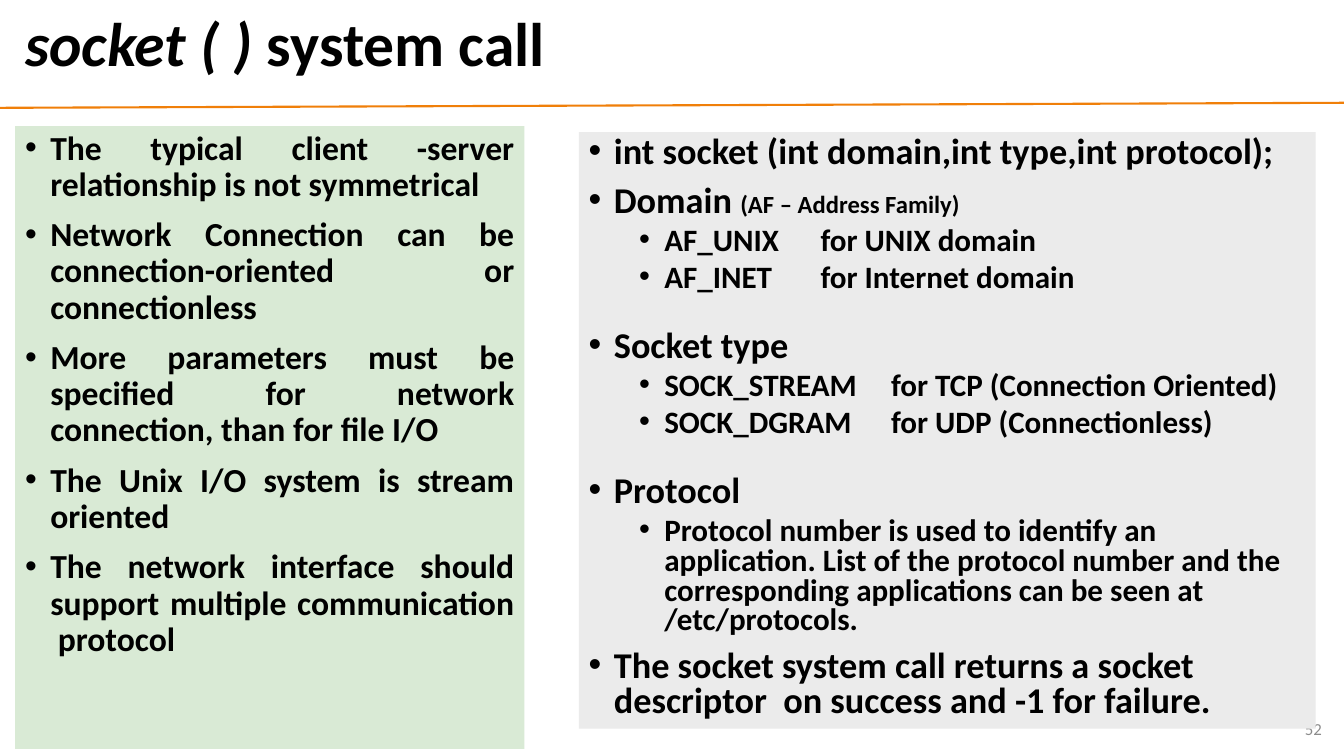
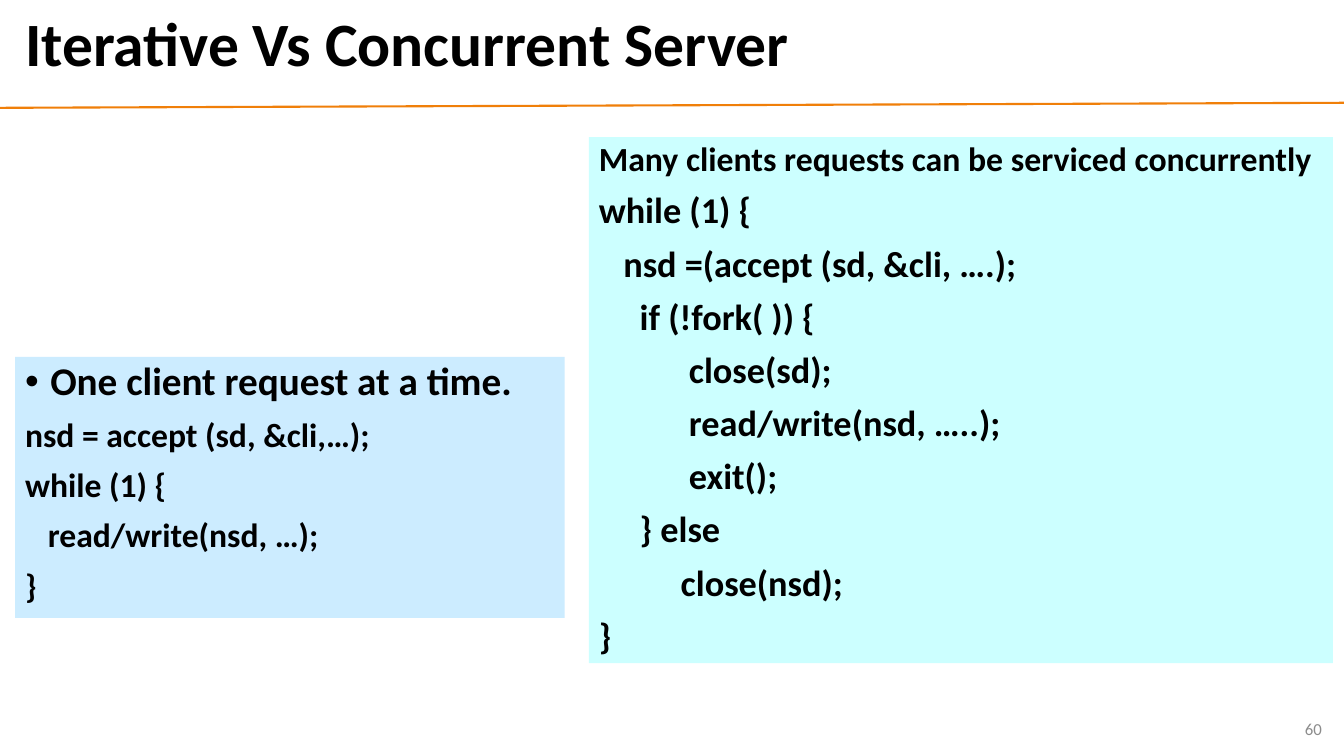
import pptx
import pptx.util
import pptx.dml.color
import pptx.enum.shapes
import pptx.enum.text
import lxml.etree
import pptx.oxml.ns

Inches, Pt = pptx.util.Inches, pptx.util.Pt
ALIGN = pptx.enum.text.PP_ALIGN
ANCHOR = pptx.enum.text.MSO_ANCHOR
qn = pptx.oxml.ns.qn

FONT = "Calibri"
COLORS = {
    "text": "000000", "number": "8C8C8C", "rule": "F07F09",
    "green": "D9EAD5", "grey": "EBEBEB", "blue": "CCECFF", "cyan": "CCFFFF",
}
SPACE_EM = 0.226  # width of a space in the bold font

# Paragraph formats
POINT = dict(size=24, bullet=True, left=0.25, align=ALIGN.JUSTIFY)
TOPIC = dict(size=25.9, bullet=True, left=0.25, spacing=0.8)
NEW_TOPIC = dict(TOPIC, before=26)
DETAIL = dict(size=22.2, bullet=True, left=0.75, spacing=0.8, before=5)
FAMILY = dict(DETAIL, tab=2.3)
LEAD = dict(size=28, bullet=True, left=0.25)


def code(size, lines):
    """Turn (depth in spaces, text) pairs into indented paragraphs."""
    return [(text, dict(size=size, left=depth * size * SPACE_EM / 72))
            for depth, text in lines]


SLIDES = [
    {
        "title": [("socket ( ) ", dict(italic=True)), ("system call", {})],
        "number": "52",
        "panels": [
            ((0.15, 1.25, 5.05, 6.18), "green", [(text, POINT) for text in (
                "The typical client -server relationship is not symmetrical",
                "Network Connection can be connection-oriented or connectionless",
                "More parameters must be specified for network connection, than for file I/O",
                "The Unix I/O system is stream oriented",
                "The network interface should support multiple communication  protocol",
            )]),
            ((5.74, 1.31, 7.31, 5.92), "grey", [
                ("int socket (int domain,int type,int protocol);", TOPIC),
                ([("Domain ", {}), ("(AF – Address Family)", dict(size=17.6))], TOPIC),
                ("AF_UNIX\tfor UNIX domain", FAMILY),
                ("AF_INET\tfor Internet domain", FAMILY),
                ("Socket type", NEW_TOPIC),
                ("SOCK_STREAM\tfor TCP (Connection Oriented)", DETAIL),
                ("SOCK_DGRAM\tfor UDP (Connectionless)", DETAIL),
                ("Protocol", NEW_TOPIC),
                ("Protocol number is used to identify an application. List of the "
                 "protocol number and the corresponding applications can be seen at "
                 "/etc/protocols.", DETAIL),
                ("The socket system call returns a socket descriptor  on success "
                 "and -1 for failure.", TOPIC),
            ]),
        ],
    },
    {
        "title": "Iterative Vs Concurrent Server",
        "number": "60",
        "panels": [
            ((0.15, 3.54, 5.45, 2.59), "blue",
             [("One client request at a time.", LEAD)] + code(24, [
                 (0, "nsd = accept (sd, &cli,…);"),
                 (0, "while (1) {"),
                 (3, "read/write(nsd, …);"),
                 (0, "}"),
             ])),
            ((5.84, 1.36, 7.38, 5.22), "cyan",
             [("Many clients requests can be serviced concurrently", dict(size=24.1))]
             + code(25.9, [
                 (0, "while (1) {"),
                 (3, "nsd =(accept (sd, &cli, ….);"),
                 (5, "if (!fork( )) {"),
                 (11, "close(sd);"),
                 (11, "read/write(nsd, …..);"),
                 (11, "exit();"),
                 (5, "} else"),
                 (10, "close(nsd);"),
                 (0, "}"),
             ])),
        ],
    },
]


def rgb(name):
    return pptx.dml.color.RGBColor.from_string(COLORS[name])


def write(p, text, size=24, color="text", bold=True, align=ALIGN.LEFT,
          left=0, bullet=False, spacing=0.9, before=10, tab=None):
    """Fill a paragraph with a string or with (text, overrides) runs."""
    p.alignment, p.line_spacing, p.space_before = align, spacing, Pt(before)
    pPr = p._p.get_or_add_pPr()
    pPr.set("marL", str(Inches(left)))
    pPr.set("indent", str(Inches(-0.25 if bullet else 0)))
    if bullet:
        lxml.etree.SubElement(pPr, qn("a:buFont"), typeface="Arial")
        lxml.etree.SubElement(pPr, qn("a:buChar"), char="•")
    if tab:
        tabs = lxml.etree.SubElement(pPr, qn("a:tabLst"))
        lxml.etree.SubElement(tabs, qn("a:tab"), pos=str(Inches(tab)), algn="l")
    for part, own in [(text, {})] if isinstance(text, str) else text:
        r = p.add_run()
        r.text = part
        r.font.name, r.font.bold = FONT, bold
        r.font.size = Pt(own.get("size", size))
        r.font.italic = own.get("italic", False)
        r.font.color.rgb = rgb(color)


def add_label(slide, box, text, **fmt):
    tf = slide.shapes.add_textbox(*map(Inches, box)).text_frame
    tf.word_wrap, tf.vertical_anchor = True, ANCHOR.MIDDLE
    write(tf.paragraphs[0], text, before=0, **fmt)


def add_frame(slide, title, number):
    """Add the rule, title and slide number that every slide has."""
    rule = slide.shapes.add_connector(
        pptx.enum.shapes.MSO_CONNECTOR.STRAIGHT,
        Inches(0), Inches(1.07), Inches(13.33), Inches(1.02))
    rule.line.color.rgb, rule.line.width = rgb("rule"), Pt(1.5)
    lxml.etree.SubElement(rule._element.spPr, qn("a:effectLst"))
    add_label(slide, (0.15, 0.05, 12.89, 0.83), title, size=44)
    add_label(slide, (10.21, 7.03, 3, 0.4), number, size=12, color="number",
              bold=False, align=ALIGN.RIGHT, spacing=1.0)


def add_panel(slide, box, fill, paragraphs):
    sp = slide.shapes.add_shape(
        pptx.enum.shapes.MSO_SHAPE.RECTANGLE, *map(Inches, box))
    sp.shadow.inherit = False
    sp.fill.solid()
    sp.fill.fore_color.rgb = rgb(fill)
    sp.line.fill.background()
    tf = sp.text_frame
    tf.word_wrap, tf.vertical_anchor = True, ANCHOR.TOP
    for i, (text, fmt) in enumerate(paragraphs):
        write(tf.add_paragraph() if i else tf.paragraphs[0], text, **fmt)


def main():
    prs = pptx.Presentation()
    prs.slide_width, prs.slide_height = Inches(13.33), Inches(7.5)
    for content in SLIDES:
        slide = prs.slides.add_slide(prs.slide_layouts[6])
        add_frame(slide, content["title"], content["number"])
        for panel in content["panels"]:
            add_panel(slide, *panel)
    prs.save("out.pptx")


if __name__ == "__main__":
    main()
